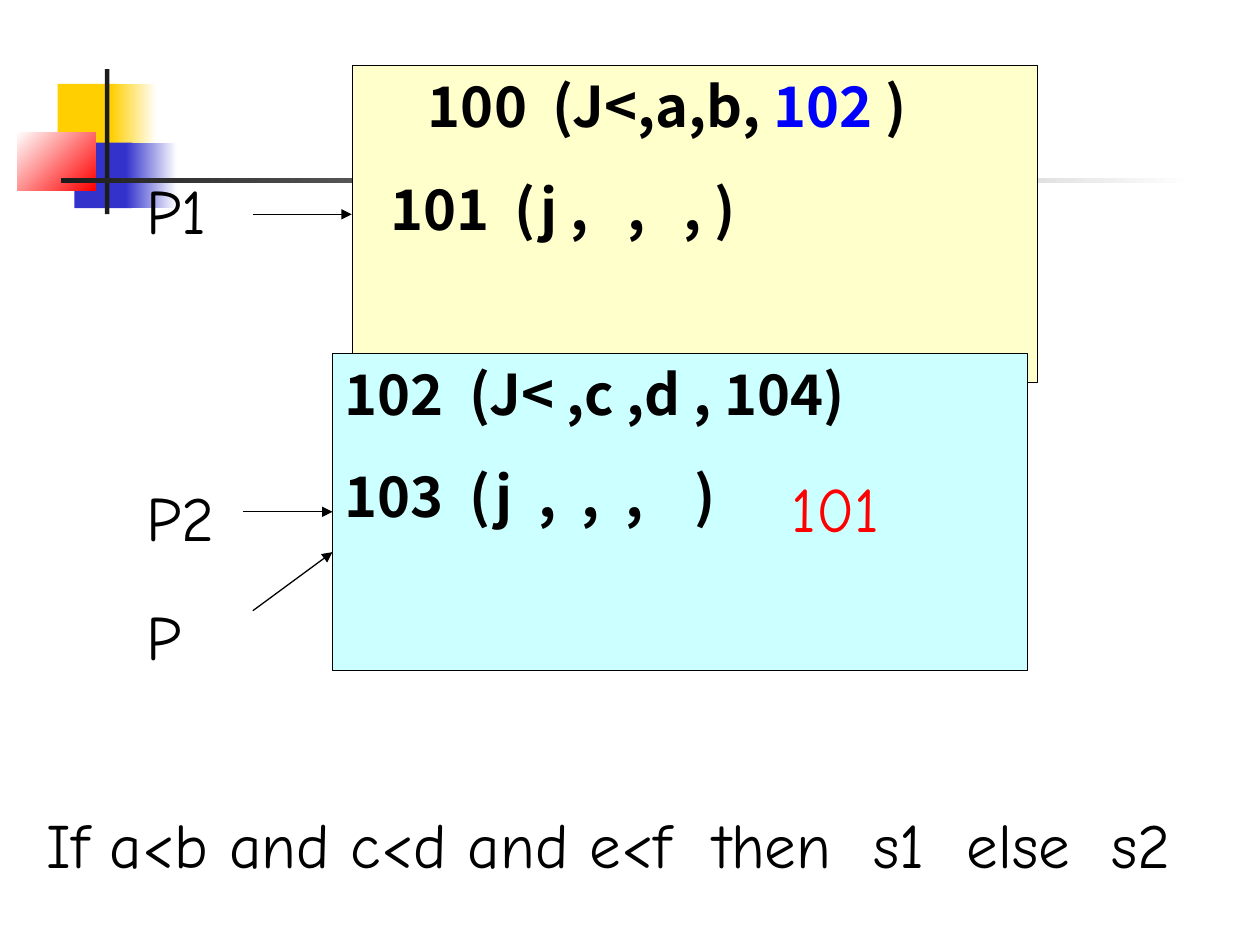
from lxml import etree
from pptx import Presentation
from pptx.dml.color import RGBColor
from pptx.enum.shapes import MSO_CONNECTOR, MSO_SHAPE
from pptx.enum.text import MSO_ANCHOR, PP_ALIGN
from pptx.oxml.ns import qn
from pptx.util import Pt

BLACK = RGBColor(0x00, 0x00, 0x00)
WHITE = RGBColor(0xFF, 0xFF, 0xFF)
CHARCOAL = RGBColor(0x1C, 0x1C, 0x1C)
GOLD = RGBColor(0xFF, 0xCF, 0x01)
INDIGO = RGBColor(0x33, 0x33, 0xCC)
RED = RGBColor(0xFF, 0x00, 0x00)
BLUE = RGBColor(0x00, 0x00, 0xFF)
CREAM = RGBColor(0xFF, 0xFF, 0xCC)
AQUA = RGBColor(0xCC, 0xFF, 0xFF)

CODE = {"name": "Noto Sans CJK SC", "size": Pt(32), "bold": True}
LABEL = {"name": "Comic Neue", "size": Pt(36)}


def add_rect(x, y, w, h, colors, angle=0):
    sp = s.shapes.add_shape(MSO_SHAPE.RECTANGLE, Pt(x), Pt(y), Pt(w), Pt(h))
    sp.shadow.inherit = False
    sp.line.fill.background()
    if len(colors) == 1:
        sp.fill.solid()
        sp.fill.fore_color.rgb = colors[0]
    else:
        sp.fill.gradient()
        sp.fill.gradient_angle = angle
        for stop, color in zip(sp.fill.gradient_stops, colors):
            stop.color.rgb = color
    return sp


def write(sp, lines, font, before):
    tf = sp.text_frame
    tf.word_wrap = True
    tf.vertical_anchor = MSO_ANCHOR.TOP
    for i, (indent, runs) in enumerate(lines):
        p = tf.add_paragraph() if i else tf.paragraphs[0]
        p.alignment = PP_ALIGN.LEFT
        p.space_before = Pt(before)
        p._p.get_or_add_pPr().set("marL", str(Pt(indent)))
        for text, color in runs:
            r = p.add_run()
            r.text = text
            r.font.color.rgb = color
            for key, value in font.items():
                setattr(r.font, key, value)


prs = Presentation()
prs.slide_width, prs.slide_height = Pt(720), Pt(540)
s = prs.slides.add_slide(prs.slide_layouts[6])

for x, y, w, h, colors, angle in [
    (33, 48, 34.5, 37.5, [GOLD], 0),
    (63.5, 48, 26, 37.5, [GOLD, WHITE], 0),
    (42.5, 81.5, 33, 37.5, [INDIGO], 0),
    (72, 81.5, 29, 37.5, [INDIGO, WHITE], 0),
    (10, 75.5, 44.5, 33.5, [WHITE, RED], 315),
    (60, 39.5, 2.5, 83, [CHARCOAL], 0),
    (34.8, 102, 648, 2.7, [CHARCOAL, WHITE], 0),
]:
    add_rect(x, y, w, h, colors, angle)

boxes = []
for x, y, w, color, lines in [
    (201.5, 37.5, 391, CREAM, [
        (36, [("100  (J<,a,b,", BLACK), (" 102 ", BLUE), (")", BLACK)]),
        (14.4, [("101  (j ,   ,   , )", BLACK)]),
    ]),
    (190, 202, 397, AQUA, [
        (0, [("102  (J< ,c ,d , 104)", BLACK)]),
        (0, [("103  (j  ,  ,  ,    )", BLACK)]),
    ]),
]:
    sp = add_rect(x, y, w, 181, [color])
    sp.line.color.rgb = BLACK
    sp.line.width = Pt(0.25)
    write(sp, lines, CODE, 20)
    boxes.append(sp)

arrows = []
for x1, y1, x2, y2 in [
    (144.5, 122.5, 201, 122.5),
    (139, 292.5, 190, 292.5),
    (144.5, 349, 190, 315.5),
]:
    c = s.shapes.add_connector(MSO_CONNECTOR.STRAIGHT, Pt(x1), Pt(y1), Pt(x2), Pt(y2))
    c.line.color.rgb = BLACK
    c.line.width = Pt(0.75)
    etree.SubElement(c.line._get_or_add_ln(), qn("a:tailEnd"), type="triangle")
    etree.SubElement(c._element.spPr, qn("a:effectLst"))
    arrows.append(c)
arrows[1].end_connect(boxes[1], 1)

for text, x, y, w, color in [
    ("P1", 76.5, 94.5, 65, BLACK),
    ("P2", 76.5, 270, 65, BLACK),
    ("P", 76.5, 338, 68, BLACK),
    ("101", 445, 265, 124.5, RED),
]:
    sp = s.shapes.add_textbox(Pt(x), Pt(y), Pt(w), Pt(50.5))
    write(sp, [(0, [(text, color)])], LABEL, 22.5)

sp = add_rect(19.5, 457, 700.5, 50.5, [WHITE])
write(sp, [(0, [("If a<b and c<d and e<f  then  s1  else  s2", BLACK)])], LABEL, 22.5)

prs.save("out.pptx")
